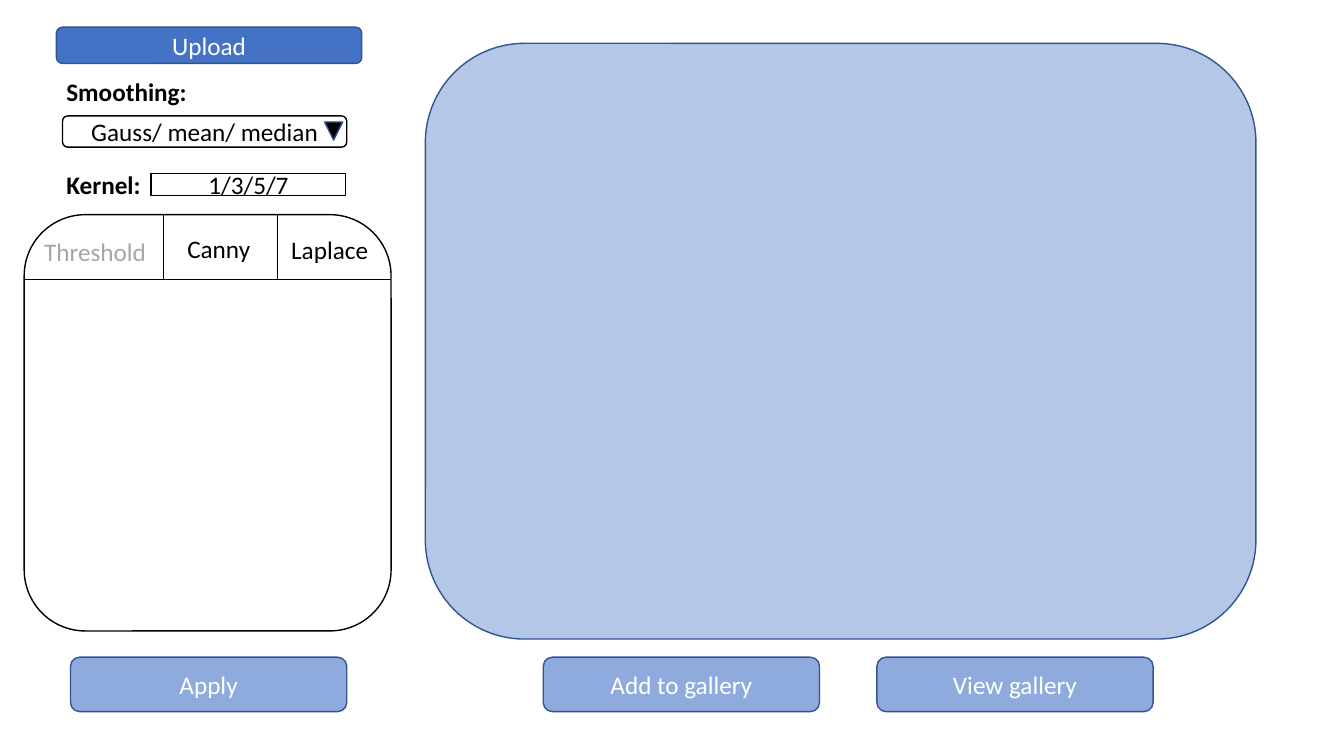
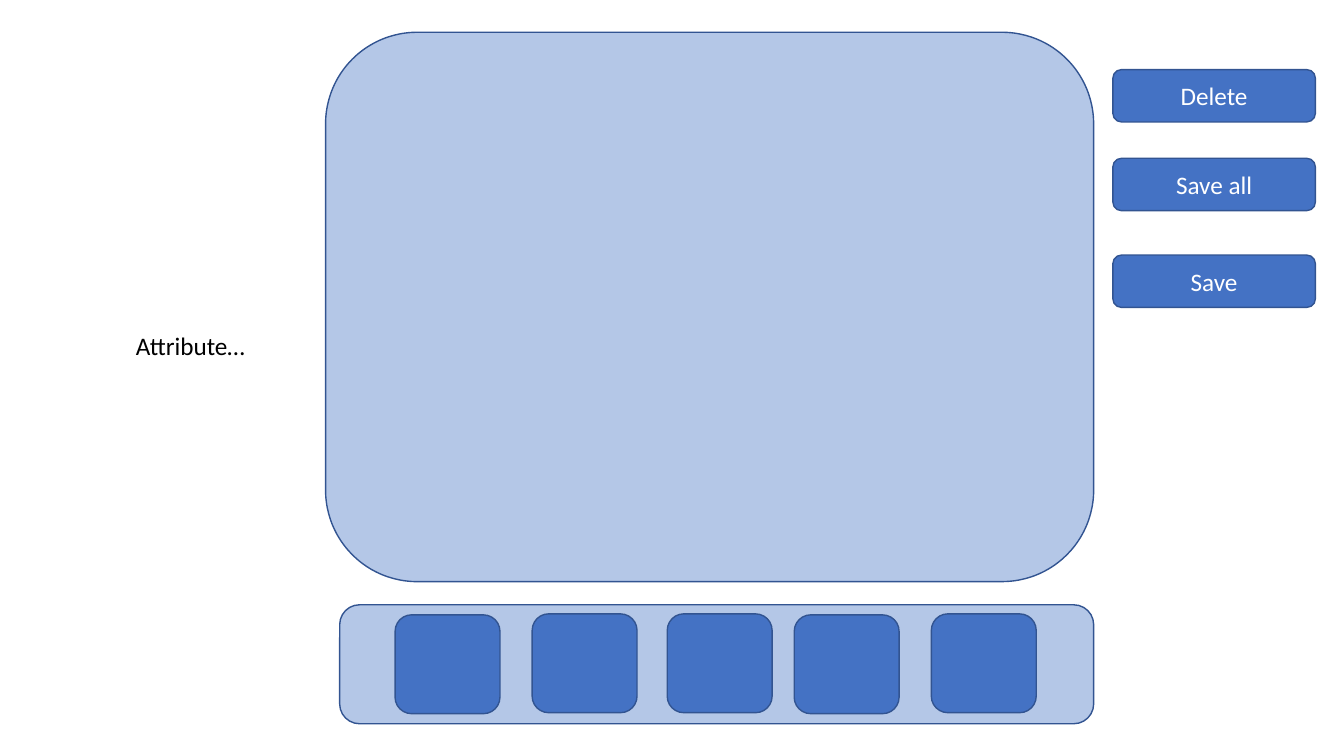
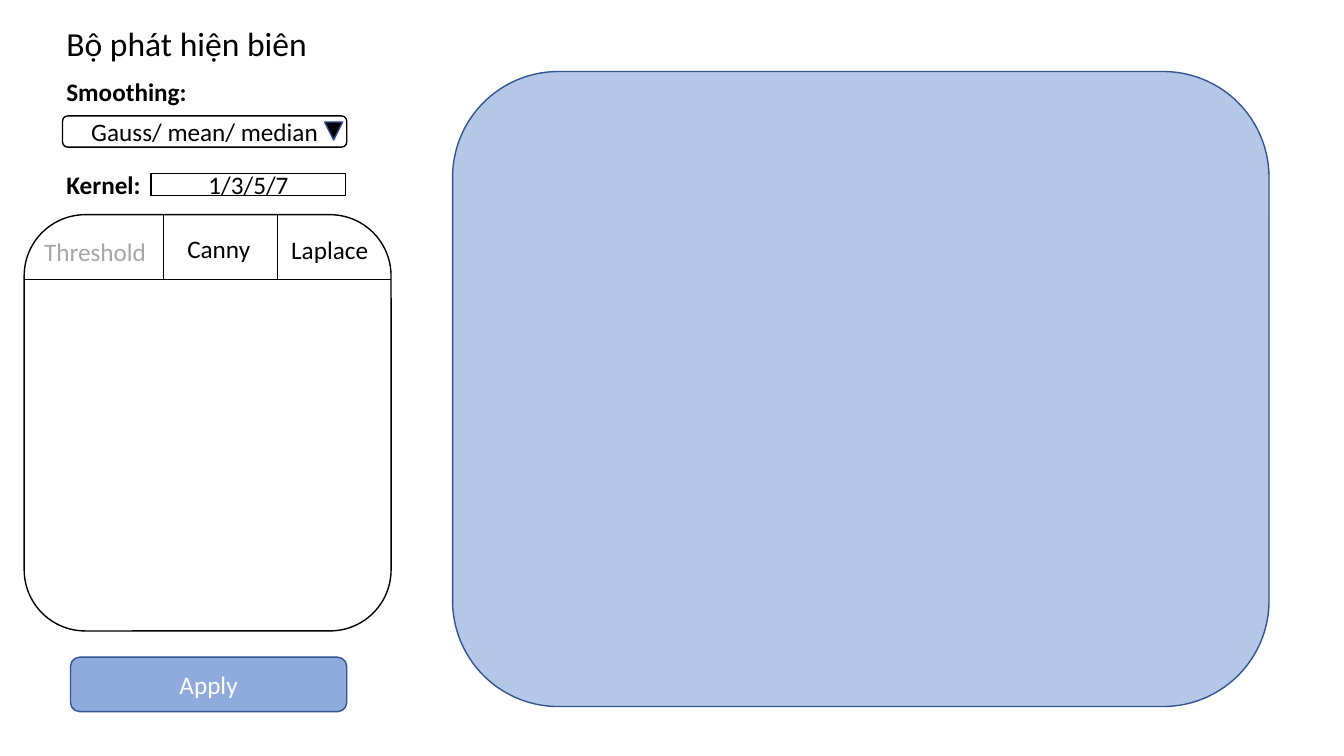
from dataclasses import dataclass

from lxml.etree import SubElement
from pptx import Presentation
from pptx.dml.color import RGBColor
from pptx.enum.shapes import MSO_CONNECTOR, MSO_SHAPE
from pptx.enum.text import MSO_ANCHOR, MSO_AUTO_SIZE, PP_ALIGN
from pptx.oxml.ns import qn
from pptx.slide import Slide
from pptx.text.text import TextFrame
from pptx.util import Pt

# Shared style
FONT = "Calibri"
BLACK, WHITE, GREY = "000000", "FFFFFF", "A6A6A6"
BLUE, MID_BLUE, PALE_BLUE, EDGE_BLUE = "4472C4", "8FAADC", "B4C7E7", "325491"


def rgb(color: str) -> RGBColor:
    return RGBColor.from_string(color)


@dataclass(frozen=True)
class Area:
    left: float
    top: float
    width: float
    height: float

    def lengths(self) -> tuple[Pt, Pt, Pt, Pt]:
        return Pt(self.left), Pt(self.top), Pt(self.width), Pt(self.height)


@dataclass(frozen=True)
class Box:
    area: Area
    text: str = ""
    fill: str = PALE_BLUE
    edge: str = EDGE_BLUE
    color: str = WHITE
    outline: MSO_SHAPE = MSO_SHAPE.ROUNDED_RECTANGLE


@dataclass(frozen=True)
class Label:
    area: Area
    text: str
    color: str = BLACK
    size: float = 18
    bold: bool = False
    wrap: bool = False


@dataclass(frozen=True)
class Rule:
    x1: float
    y1: float
    x2: float
    y2: float


def write(frame: TextFrame, text: str, color: str, size: float = 18,
          bold: bool = False, align: PP_ALIGN = PP_ALIGN.LEFT) -> None:
    paragraph = frame.paragraphs[0]
    paragraph.alignment = align
    run = paragraph.add_run()
    run.text = text
    run.font.name = FONT
    run.font.size = Pt(size)
    run.font.bold = bold
    run.font.color.rgb = rgb(color)


def draw_box(slide: Slide, box: Box) -> None:
    shape = slide.shapes.add_shape(box.outline, *box.area.lengths())
    shape.shadow.inherit = False
    shape.fill.solid()
    shape.fill.fore_color.rgb = rgb(box.fill)
    shape.line.color.rgb = rgb(box.edge)
    shape.line.width = Pt(1)
    if box.text:
        shape.text_frame.vertical_anchor = MSO_ANCHOR.MIDDLE
        write(shape.text_frame, box.text, box.color, align=PP_ALIGN.CENTER)


def draw_label(slide: Slide, label: Label) -> None:
    frame = slide.shapes.add_textbox(*label.area.lengths()).text_frame
    frame.word_wrap = label.wrap
    frame.auto_size = MSO_AUTO_SIZE.SHAPE_TO_FIT_TEXT
    write(frame, label.text, label.color, label.size, label.bold)


def draw_rule(slide: Slide, rule: Rule) -> None:
    line = slide.shapes.add_connector(
        MSO_CONNECTOR.STRAIGHT,
        Pt(rule.x1), Pt(rule.y1), Pt(rule.x2), Pt(rule.y2))
    line.line.color.rgb = rgb(BLACK)
    line.line.width = Pt(0.5)
    SubElement(line._element.spPr, qn("a:effectLst"))


def bottom_button(left: float, text: str) -> Box:
    return Box(Area(left, 469.44, 197.28, 38.88), text, MID_BLUE)


# Filter controls, used on the upload and detector screens
TABS = Area(17.28, 153.36, 262.08, 297.36)
TAB_BASE = 199.44
TAB_RULES = [Rule(TABS.left, TAB_BASE, TABS.left + TABS.width, TAB_BASE)] + [
    Rule(x, TABS.top, x, TAB_BASE) for x in (116.64, 198)]
FILTER_BOXES = [
    Box(TABS, fill=WHITE, edge=BLACK),
    Box(Area(44.64, 82.8, 203.04, 22.32), "Gauss/ mean/ median",
        WHITE, BLACK, BLACK),
    Box(Area(231.84, 87.12, 12.96, 12.96), fill=BLACK,
        outline=MSO_SHAPE.FLOWCHART_MERGE),
    Box(Area(108, 123.84, 138.96, 15.84), "1/3/5/7",
        WHITE, BLACK, BLACK, MSO_SHAPE.RECTANGLE),
    bottom_button(50.4, "Apply"),
]
FILTER_LABELS = [
    Label(Area(126.72, 163.44, 60.48, 28.8), "Canny"),
    Label(Area(200.88, 164.16, 70.56, 28.8), "Laplace"),
    Label(Area(40.32, 51.12, 100.8, 28.8), "Smoothing:", bold=True),
    Label(Area(40.32, 117.36, 68.4, 28.8), "Kernel:", bold=True),
]


def draw_filters(slide: Slide, threshold_width: float) -> None:
    for box in FILTER_BOXES:
        draw_box(slide, box)
    for rule in TAB_RULES:
        draw_rule(slide, rule)
    threshold = Label(Area(24.48, 165.6, threshold_width, 28.8),
                      "Threshold", GREY, wrap=True)
    for label in [threshold, *FILTER_LABELS]:
        draw_label(slide, label)


deck = Presentation()
deck.slide_width, deck.slide_height = Pt(960), Pt(540)
blank = deck.slide_layouts[6]

# Upload screen
upload = deck.slides.add_slide(blank)
draw_box(upload, Box(Area(303.84, 30.96, 593.28, 425.52)))
draw_filters(upload, 89.28)
draw_box(upload, bottom_button(388.08, "Add to gallery"))
draw_box(upload, bottom_button(626.4, "View gallery"))
draw_box(upload, Box(Area(40.32, 19.44, 218.16, 25.92), "Upload", BLUE))

# Gallery screen
gallery = deck.slides.add_slide(blank)
draw_box(gallery, Box(Area(232.56, 23.04, 548.64, 392.4)))
draw_box(gallery, Box(Area(242.64, 432, 538.56, 84.96)))
for action, top in (("Save", 182.16), ("Save all", 113.04), ("Delete", 49.68)):
    draw_box(gallery, Box(Area(794.88, top, 144.72, 37.44), action, BLUE))
for left, top in ((282.24, 439.2), (380.16, 438.48), (476.64, 438.48),
                  (567.36, 439.2), (665.28, 438.48)):
    draw_box(gallery, Box(Area(left, top, 74.88, 70.56), fill=BLUE))
draw_label(gallery, Label(Area(90, 232.56, 95.76, 28.8), "Attribute…"))

# Edge detector screen
detector = deck.slides.add_slide(blank)
draw_box(detector, Box(Area(323.28, 51.12, 583.2, 453.6)))
draw_label(detector, Label(Area(40.32, 12.96, 239.76, 36),
                           "Bộ phát hiện biên", size=24, wrap=True))
draw_filters(detector, 110.88)

deck.save("out.pptx")
